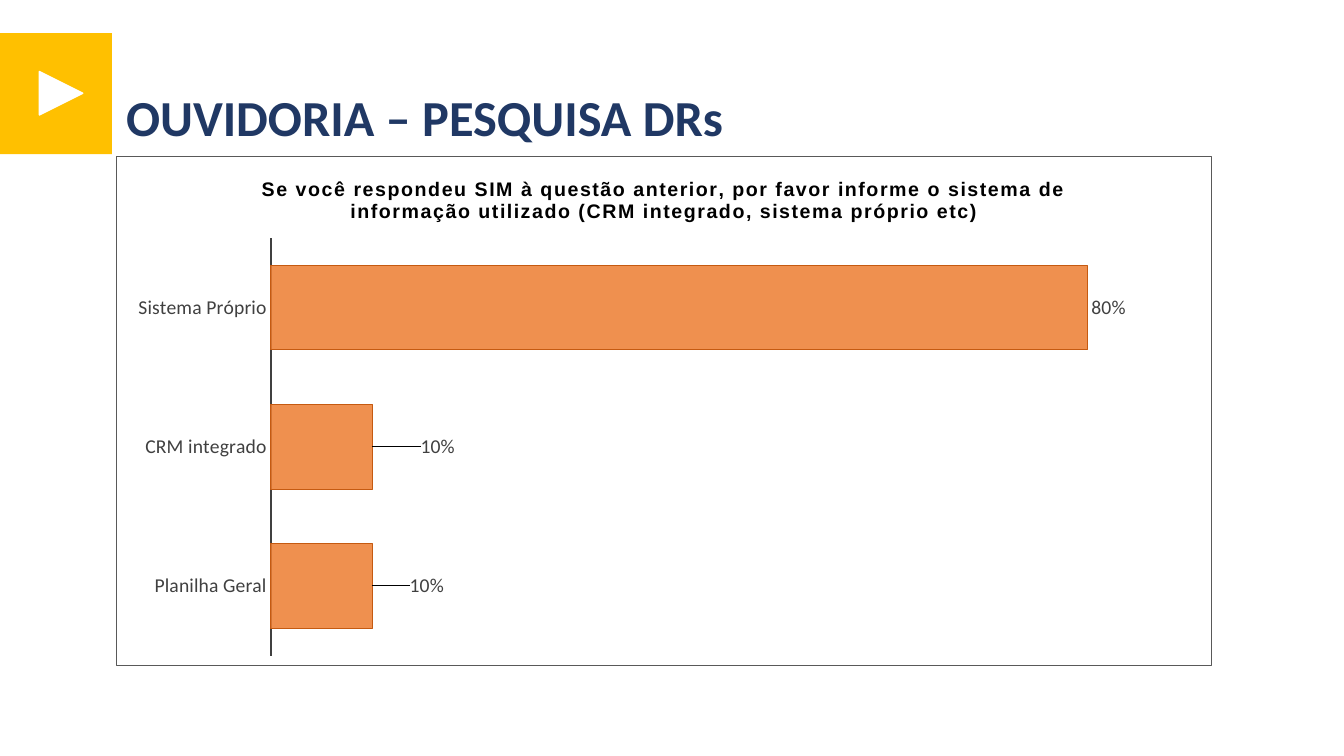
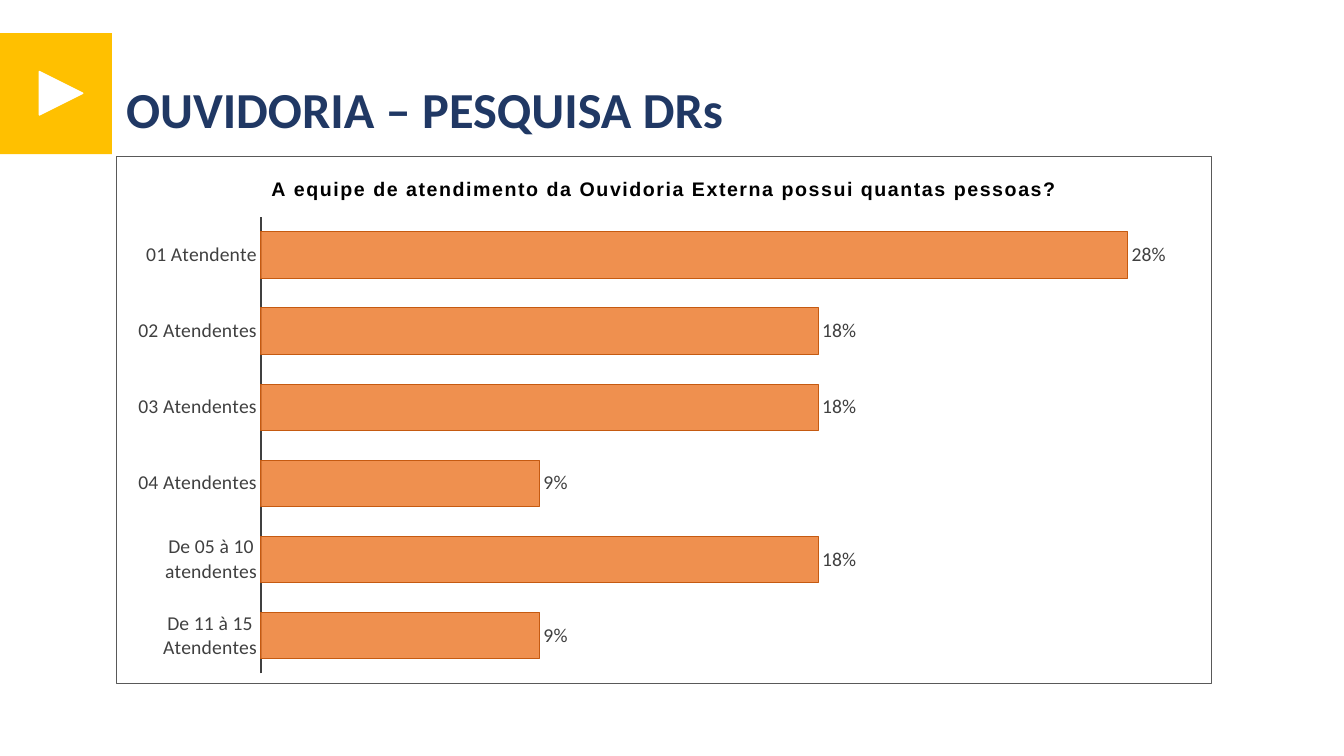
import pptx
import pptx.util
import pptx.chart.data
import pptx.dml.color
import pptx.enum.chart
import pptx.enum.shapes
import pptx.enum.text
import pptx.oxml
import pptx.oxml.ns

Pt = pptx.util.Pt
qn = pptx.oxml.ns.qn
W, H = pptx.util.Inches(13.33), pptx.util.Inches(7.5)
MARGIN, WIDTH = 8.63, 81.55
CHART_TOP = 20.67
COLORS = {
    "band": "FFC000", "white": "FFFFFF", "title": "203864", "black": "000000",
    "label": "404040", "border": "595959", "bar": "ED7D31", "bar_line": "C55A11",
}
HEADING = "OUVIDORIA – PESQUISA DRs"
SLIDES = [
    {
        "title_top": 12.27, "chart_height": 67.47, "axis_max": 0.9,
        "question": "Se você respondeu SIM à questão anterior, por favor informe o sistema de "
                    "informação utilizado (CRM integrado, sistema próprio etc)",
        "answers": {"Sistema Próprio": 0.8, "CRM integrado": 0.1, "Planilha Geral": 0.1},
        "label_shifts": {1: 0.04, 2: 0.03},
    },
    {
        "title_top": 11.2, "chart_height": 69.87, "axis_max": 0.3,
        "question": "A equipe de atendimento da Ouvidoria Externa possui quantas pessoas?",
        "answers": {
            "01 Atendente": 0.28, "02 Atendentes": 0.18, "03 Atendentes": 0.18,
            "04 Atendentes": 0.09, "De 05 à 10 atendentes": 0.18,
            "De 11 à 15 Atendentes": 0.09,
        },
        "label_shifts": {},
    },
]


def rgb(name):
    return pptx.dml.color.RGBColor.from_string(COLORS[name])


def box(x, y, w, h):
    """Turn percentages of the slide's size into left, top, width, height."""
    return [round(v * side / 100) for v, side in ((x, W), (y, H), (w, W), (h, H))]


def style_font(font, size, color, name="Calibri", bold=False):
    font.size, font.name, font.bold = Pt(size), name, bold
    font.color.rgb = rgb(color)


def style_line(line, color, width):
    line.color.rgb = rgb(color)
    line.width = Pt(width)


def add_solid(shapes, kind, area, color):
    sp = shapes.add_shape(kind, *box(*area))
    sp.shadow.inherit = False
    sp.fill.solid()
    sp.fill.fore_color.rgb = rgb(color)
    sp.line.fill.background()
    return sp


def add_marker(slide):
    """Draw the yellow marker and hand it to the layout that the slides share."""
    kinds = pptx.enum.shapes.MSO_SHAPE
    band = add_solid(slide.shapes, kinds.RECTANGLE, (0, 4.4, 8.33, 16), "band")
    arrow = add_solid(slide.shapes, kinds.ISOSCELES_TRIANGLE, (2.93, 9.47, 3.23, 5.73), "white")
    arrow.rotation = 90
    style_line(arrow.line, "white", 1)
    for sp in (band, arrow):
        slide.slide_layout.shapes.element.append(sp.element)


def set_title(slide, top):
    sp = slide.shapes.title
    sp.left, sp.top, sp.width, sp.height = box(MARGIN, top, 70.5, 7.2)
    tf = sp.text_frame
    tf.word_wrap = True
    tf.auto_size = pptx.enum.text.MSO_AUTO_SIZE.NONE
    tf.vertical_anchor = pptx.enum.text.MSO_ANCHOR.MIDDLE
    tf.margin_top = tf.margin_bottom = 0
    p = tf.paragraphs[0]
    p.alignment = pptx.enum.text.PP_ALIGN.LEFT
    p.line_spacing = 0.9
    r = p.add_run()
    r.text = HEADING
    style_font(r.font, 36, "title", bold=True)


def set_question(chart, question):
    chart.has_title = True
    chart.chart_title.include_in_layout = False
    r = chart.chart_title.text_frame.paragraphs[0].add_run()
    r.text = question
    style_font(r.font, 14, "black", "Arial", True)
    r.font._element.set("spc", "100")


def add_border(chart):
    chart.element.find(qn("c:chart")).addnext(pptx.oxml.parse_xml(
        f'<c:spPr {pptx.oxml.ns.nsdecls("c", "a")}><a:noFill/><a:ln w="{Pt(0.75)}">'
        f'<a:solidFill><a:srgbClr val="{COLORS["border"]}"/></a:solidFill></a:ln></c:spPr>'))


def style_axes(chart, axis_max):
    axis = chart.category_axis
    axis.reverse_order = True
    axis.major_tick_mark = axis.minor_tick_mark = pptx.enum.chart.XL_TICK_MARK.NONE
    style_font(axis.tick_labels.font, 14, "label")
    style_line(axis.format.line, "label", 1.5)
    values = chart.value_axis
    values.minimum_scale, values.maximum_scale = 0, axis_max
    values.has_major_gridlines = False
    values.visible = False


def style_bars(plot):
    plot.gap_width = 65
    plot.vary_by_categories = False
    fmt = plot.series[0].format
    fmt.fill.solid()
    fmt.fill.fore_color.rgb = rgb("bar")
    color = fmt.fill._xPr.find(qn("a:solidFill")).find(qn("a:srgbClr"))
    color.append(pptx.oxml.parse_xml(
        f'<a:alpha {pptx.oxml.ns.nsdecls("a")} val="85000"/>'))
    style_line(fmt.line, "bar_line", 0.75)


def style_labels(series, shifts):
    """Show the values; shifts moves single labels right by a share of the chart."""
    outside = pptx.enum.chart.XL_LABEL_POSITION.OUTSIDE_END
    labels = series.data_labels
    labels.show_value = True
    labels.number_format, labels.number_format_is_linked = "0%", False
    labels.position = outside
    style_font(labels.font, 14, "label")
    for i, shift in shifts.items():
        label = series.points[i].data_label
        style_font(label.font, 14, "label")
        label.position = outside
        label._dLbl.find(qn("c:idx")).addnext(pptx.oxml.parse_xml(
            f'<c:layout {pptx.oxml.ns.nsdecls("c")}><c:manualLayout>'
            f'<c:x val="{shift}"/><c:y val="0"/></c:manualLayout></c:layout>'))


def add_answers(slide, content):
    data = pptx.chart.data.CategoryChartData(number_format="0%")
    data.categories = list(content["answers"])
    data.add_series("Series 1", content["answers"].values())
    area = box(MARGIN, CHART_TOP, WIDTH, content["chart_height"])
    chart = slide.shapes.add_chart(
        pptx.enum.chart.XL_CHART_TYPE.BAR_CLUSTERED, *area, data).chart
    chart.has_legend = False
    style_font(chart.font, 10, "black")
    set_question(chart, content["question"])
    add_border(chart)
    style_axes(chart, content["axis_max"])
    style_bars(chart.plots[0])
    style_labels(chart.plots[0].series[0], content["label_shifts"])


def main():
    prs = pptx.Presentation()
    prs.slide_width, prs.slide_height = W, H
    title_only = prs.slide_layouts[5]
    for i, content in enumerate(SLIDES):
        slide = prs.slides.add_slide(title_only)
        if i == 0:
            add_marker(slide)
        set_title(slide, content["title_top"])
        add_answers(slide, content)
    prs.save("out.pptx")


if __name__ == "__main__":
    main()
